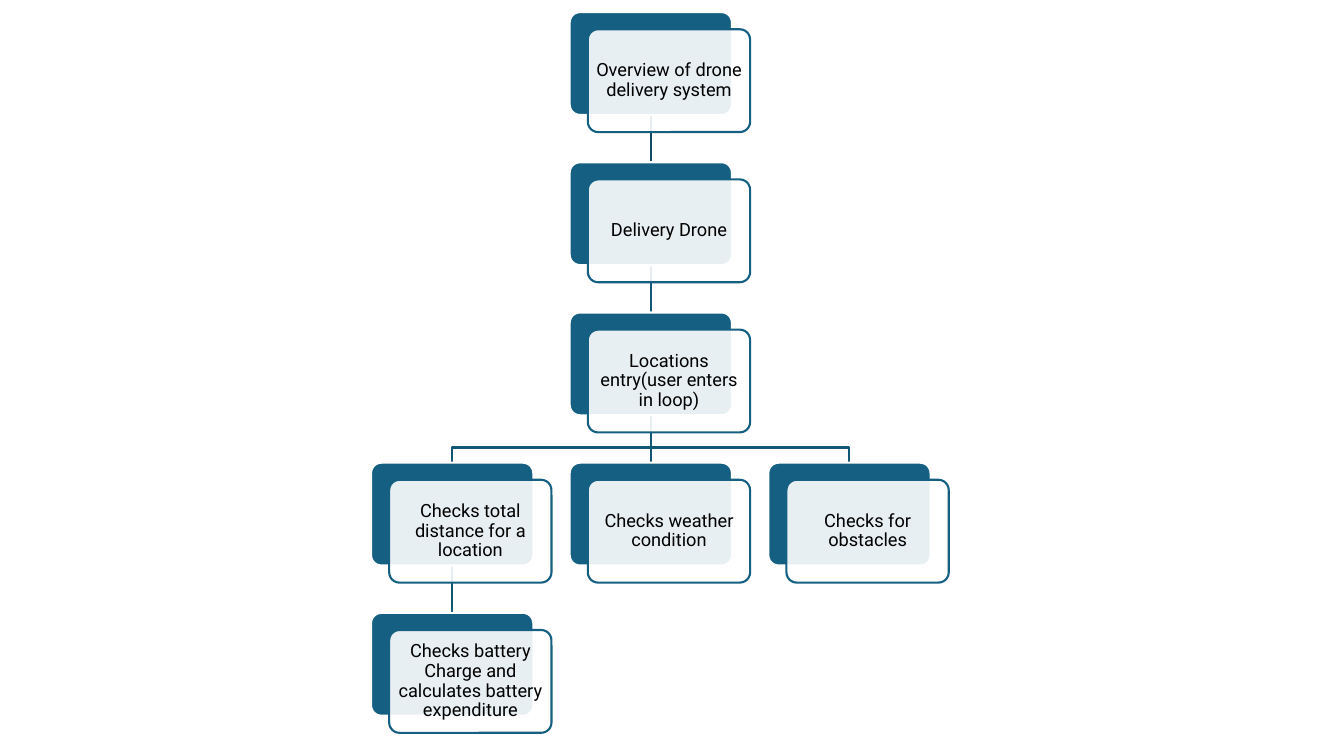
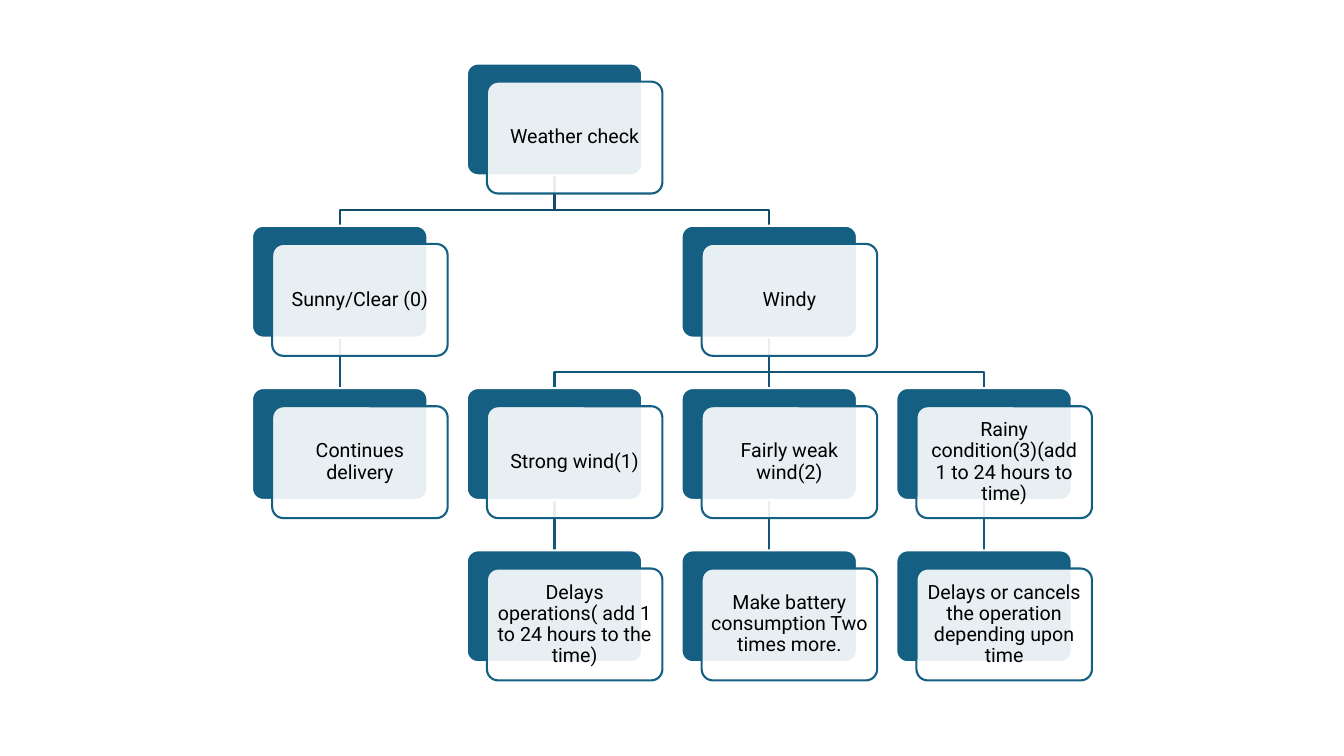
"""Build two tree diagrams of a drone delivery system."""
from dataclasses import dataclass

from lxml import etree
from pptx import Presentation
from pptx.dml.color import RGBColor
from pptx.enum import shapes, text
from pptx.oxml import ns
from pptx.util import Inches, Pt

TEAL = RGBColor(0x15, 0x60, 0x82)
ROOT_LINK = RGBColor(0x11, 0x4D, 0x68)
LINK = RGBColor(0x13, 0x57, 0x76)
WHITE = RGBColor(0xFF, 0xFF, 0xFF)
BLACK = RGBColor(0x00, 0x00, 0x00)
FONT = "Roboto"
OUTLINE = Pt(1.5)
BEND = 0.68


@dataclass
class Layout:
    left: float
    top: float
    column_step: float
    row_step: float
    width: float
    height: float
    shift_x: float
    shift_y: float
    inset: float
    size: int

    def corner(self, column, row):
        return self.left + column * self.column_step, self.top + row * self.row_step


@dataclass
class Node:
    label: str
    column: int
    children: tuple = ()


OVERVIEW_LAYOUT = Layout(3.68, 0.12, 1.97, 1.49, 1.61, 1.02, 0.18, 0.17, 0.05, 13)
WEATHER_LAYOUT = Layout(2.5, 0.63, 2.13, 1.61, 1.74, 1.11, 0.2, 0.18, 0.06, 14)

OVERVIEW = Node("Overview of drone delivery system", 1, (
    Node("Delivery Drone", 1, (
        Node("Locations entry(user enters in loop)", 1, (
            Node("Checks total distance for a location", 0, (
                Node("Checks battery Charge and calculates battery expenditure", 0),
            )),
            Node("Checks weather condition", 1),
            Node("Checks for obstacles", 2),
        )),
    )),
))

WEATHER = Node("Weather check", 1, (
    Node("Sunny/Clear (0)", 0, (Node("Continues delivery", 0),)),
    Node("Windy", 2, (
        Node("Strong wind(1)", 1, (
            Node("Delays operations( add 1 to 24 hours to the time)", 1),
        )),
        Node("Fairly weak wind(2)", 2, (
            Node("Make battery consumption Two times more.", 2),
        )),
        Node("Rainy condition(3)(add 1 to 24 hours to time)", 3, (
            Node("Delays or cancels the operation depending upon time", 3),
        )),
    )),
))


def add_link(slide, layout, parent, child, row):
    """Join a parent to a child with a straight or a stepped line."""
    parent_left, parent_top = layout.corner(parent.column, row)
    child_left, child_top = layout.corner(child.column, row + 1)
    start_x, end_x = (Inches(x + layout.width / 2) for x in (parent_left, child_left))
    start_y, end_y = Inches(parent_top + layout.height), Inches(child_top)
    if parent.column == child.column:
        link = slide.shapes.add_connector(
            shapes.MSO_CONNECTOR.STRAIGHT, start_x, start_y, end_x, end_y)
        etree.SubElement(link._element.spPr, ns.qn("a:effectLst"))
    else:
        bend_y = start_y + round((end_y - start_y) * BEND)
        outline = slide.shapes.build_freeform(start_x, start_y)
        outline.add_line_segments(
            [(start_x, bend_y), (end_x, bend_y), (end_x, end_y)], close=False)
        link = outline.convert_to_shape()
        link.fill.background()
        link.shadow.inherit = False
    link.line.color.rgb = LINK if row else ROOT_LINK
    link.line.width = OUTLINE


def add_panel(slide, layout, left, top, fill, line):
    """Add one rounded panel of a card."""
    panel = slide.shapes.add_shape(
        shapes.MSO_SHAPE.ROUNDED_RECTANGLE, Inches(left), Inches(top),
        Inches(layout.width), Inches(layout.height))
    panel.adjustments[0] = 0.1
    panel.shadow.inherit = False
    panel.fill.solid()
    panel.fill.fore_color.rgb = fill
    panel.line.color.rgb = line
    panel.line.width = OUTLINE
    return panel


def add_card(slide, layout, node, row):
    """Add a solid panel with a translucent labelled panel over it."""
    left, top = layout.corner(node.column, row)
    add_panel(slide, layout, left, top, TEAL, WHITE)
    front = add_panel(
        slide, layout, left + layout.shift_x, top + layout.shift_y, WHITE, TEAL)
    color = front._element.spPr.find(ns.qn("a:solidFill"))[0]
    etree.SubElement(color, ns.qn("a:alpha"), val="90000")
    frame = front.text_frame
    frame.word_wrap = True
    frame.vertical_anchor = text.MSO_ANCHOR.MIDDLE
    frame.margin_left = frame.margin_right = Inches(layout.inset)
    frame.margin_top = frame.margin_bottom = Inches(layout.inset)
    paragraph = frame.paragraphs[0]
    paragraph.alignment = text.PP_ALIGN.CENTER
    paragraph.line_spacing = 0.9
    label = paragraph.add_run()
    label.text = node.label
    label.font.name = FONT
    label.font.size = Pt(layout.size)
    label.font.color.rgb = BLACK


def add_links(slide, layout, node, row=0):
    """Add the links of a whole tree."""
    for child in node.children:
        add_links(slide, layout, child, row + 1)
        add_link(slide, layout, node, child, row)


def add_cards(slide, layout, node, row=0):
    """Add the cards of a whole tree."""
    add_card(slide, layout, node, row)
    for child in node.children:
        add_cards(slide, layout, child, row + 1)


def main():
    """Build and save the slides."""
    deck = Presentation()
    deck.slide_width, deck.slide_height = Inches(13.33), Inches(7.5)
    for layout, root in ((OVERVIEW_LAYOUT, OVERVIEW), (WEATHER_LAYOUT, WEATHER)):
        slide = deck.slides.add_slide(deck.slide_layouts[6])
        add_links(slide, layout, root)
        add_cards(slide, layout, root)
    deck.save("out.pptx")


if __name__ == "__main__":
    main()
